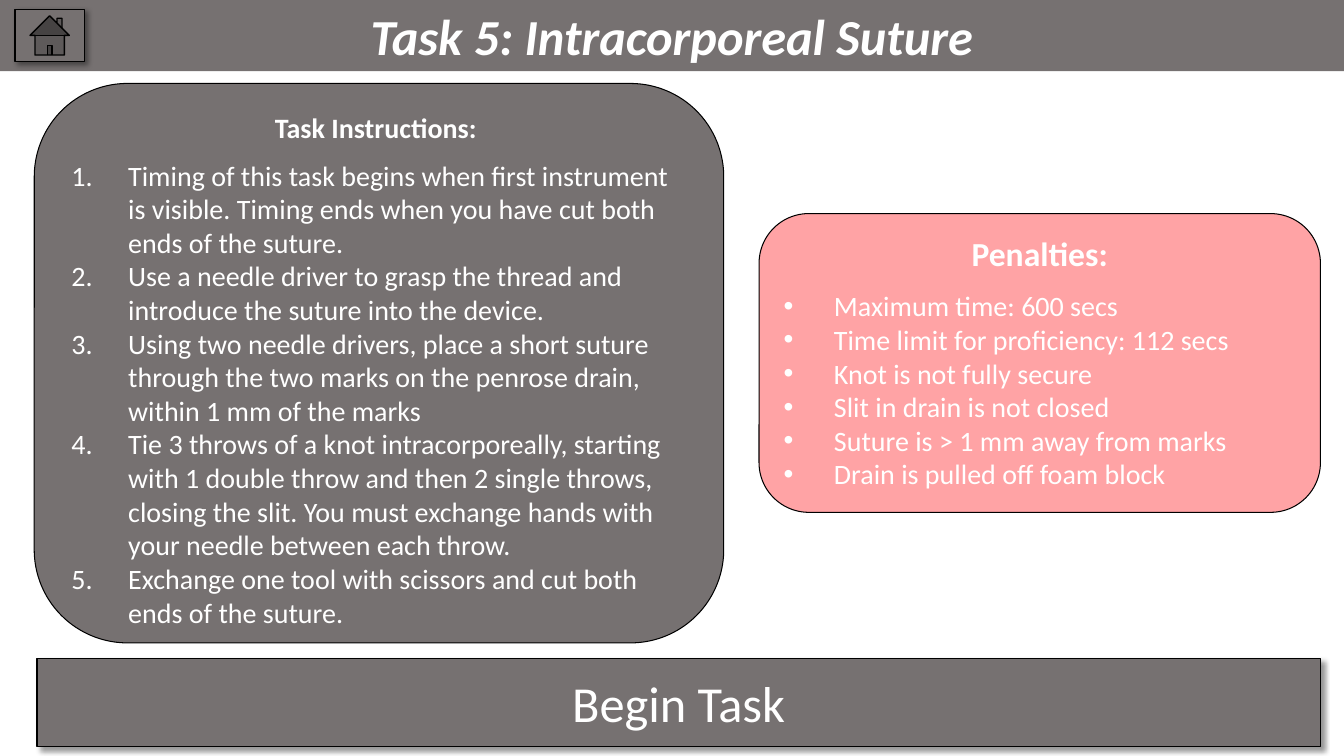
"""Build the Task 5 intracorporeal suture slide."""
from dataclasses import dataclass

import lxml.etree
import pptx
import pptx.dml.color
import pptx.enum.shapes
import pptx.enum.text
import pptx.oxml.ns
import pptx.util

Pt = pptx.util.Pt
qn = pptx.oxml.ns.qn
SHAPE = pptx.enum.shapes.MSO_SHAPE
ANCHOR = pptx.enum.text.MSO_ANCHOR
ALIGN = pptx.enum.text.PP_ALIGN

TITLE = "Task 5: Intracorporeal Suture"
BUTTON = "Begin Task"
INSTRUCTIONS = [
    "Timing of this task begins when first instrument is visible. "
    "Timing ends when you have cut both ends of the suture.",
    "Use a needle driver to grasp the thread and introduce the suture into the device.",
    "Using two needle drivers, place a short suture through the two marks "
    "on the penrose drain, within 1 mm of the marks",
    "Tie 3 throws of a knot intracorporeally, starting with 1 double throw and then "
    "2 single throws, closing the slit. You must exchange hands with your needle "
    "between each throw.",
    "Exchange one tool with scissors and cut both ends of the suture.",
]
PENALTIES = [
    "Maximum time: 600 secs",
    "Time limit for proficiency: 112 secs",
    "Knot is not fully secure",
    "Slit in drain is not closed",
    "Suture is > 1 mm away from marks",
    "Drain is pulled off foam block",
]
PANELS = [
    dict(box=(24.5, 59.6, 492.5, 399.6), fill="grey", alpha=None, inset=0,
         heading="Task Instructions: ", size="body", gap=9.75, items=INSTRUCTIONS,
         indent=40.5, bullet=("a:buAutoNum", {"type": "arabicPeriod"})),
    dict(box=(542.2, 152.6, 401, 213.4), fill="pink", alpha=70, inset=3.6,
         heading="Penalties:", size="heading", gap=11, items=PENALTIES,
         indent=36, bullet=("a:buChar", {"char": "•"})),
]
BUTTONS = [
    (SHAPE.ACTION_BUTTON_CUSTOM, (26.4, 470.2, 916.8, 62.8), BUTTON),
    (SHAPE.ACTION_BUTTON_HOME, (10.6, 6.6, 49.8, 37.4), ""),
]


@dataclass(frozen=True)
class Theme:
    """Colours, font and type sizes."""
    grey: str = "767171"
    pink: str = "FF7C80"
    line: str = "000000"
    text: str = "FFFFFF"
    font: str = "Calibri"
    title: int = 36
    heading: int = 24
    body: int = 20


THEME = Theme()


def rgb(name):
    """Return a theme colour."""
    return pptx.dml.color.RGBColor.from_string(getattr(THEME, name))


def add_xml(parent, tag, **attrs):
    """Append one element to a parent."""
    return lxml.etree.SubElement(parent, qn(tag), attrs)


def style(p, size, bold=False, italic=False, align=ALIGN.CENTER):
    """Format a paragraph and its runs."""
    p.alignment = align
    for r in p.runs:
        f = r.font
        f.name, f.size, f.bold, f.italic = THEME.font, Pt(getattr(THEME, size)), bold, italic
        f.color.rgb = rgb("text")


def add_box(s, kind, box, fill, width):
    """Add a filled and outlined shape."""
    sp = s.shapes.add_shape(kind, *map(Pt, box))
    sp.shadow.inherit = False
    sp.fill.solid()
    sp.fill.fore_color.rgb = rgb(fill)
    sp.line.color.rgb = rgb("line")
    sp.line.width = Pt(width)
    sp.text_frame.word_wrap = True
    return sp


def add_title(s, width):
    """Turn the title placeholder into the top band."""
    sp = s.shapes.title
    sp.left, sp.top, sp.width, sp.height = Pt(0), Pt(0), Pt(width), Pt(50.9)
    sp.fill.solid()
    sp.fill.fore_color.rgb = rgb("grey")
    tf = sp.text_frame
    tf.text = TITLE
    tf.auto_size = pptx.enum.text.MSO_AUTO_SIZE.NONE
    tf.vertical_anchor = ANCHOR.TOP
    style(tf.paragraphs[0], "title", bold=True, italic=True)


def add_panel(s, panel):
    """Add a rounded panel with a heading and a list."""
    sp = add_box(s, SHAPE.ROUNDED_RECTANGLE, panel["box"], panel["fill"], 0.75)
    if panel["alpha"]:
        color = sp.fill._xPr.find(qn("a:solidFill"))[0]
        add_xml(color, "a:alpha", val=str(panel["alpha"] * 1000))
    tf = sp.text_frame
    tf.vertical_anchor = ANCHOR.TOP
    tf.margin_top = tf.margin_bottom = Pt(panel["inset"])
    tf.text = panel["heading"]
    p = tf.paragraphs[0]
    p.space_after = Pt(panel["gap"])
    style(p, panel["size"], bold=True)
    tag, attrs = panel["bullet"]
    for item in panel["items"]:
        p = tf.add_paragraph()
        p.text = item
        pPr = p._p.get_or_add_pPr()
        pPr.set("marL", str(Pt(panel["indent"])))
        pPr.set("indent", str(-Pt(panel["indent"])))
        add_xml(pPr, "a:buFont", typeface="Arial" if tag == "a:buChar" else "+mj-lt")
        add_xml(pPr, tag, **attrs)
        style(p, "body", align=ALIGN.LEFT)


def add_button(s, kind, box, label):
    """Add an action button with a soft shadow."""
    sp = add_box(s, kind, box, "grey", 1)
    effects = sp._element.spPr.find(qn("a:effectLst"))
    shadow = add_xml(effects, "a:outerShdw", blurRad=str(Pt(4)), dist=str(Pt(3)),
                     dir=str(45 * 60000), algn="tl", rotWithShape="0")
    color = add_xml(shadow, "a:srgbClr", val=THEME.line)
    add_xml(color, "a:alpha", val="40000")
    if label:
        tf = sp.text_frame
        tf.text = label
        tf.vertical_anchor = ANCHOR.MIDDLE
        style(tf.paragraphs[0], "title")


def main():
    """Build and save the slide."""
    prs = pptx.Presentation()
    prs.slide_width, prs.slide_height = Pt(960), Pt(540)
    s = prs.slides.add_slide(prs.slide_layouts[5])
    add_title(s, 960)
    for panel in PANELS:
        add_panel(s, panel)
    for kind, box, label in BUTTONS:
        add_button(s, kind, box, label)
    prs.save("out.pptx")


if __name__ == "__main__":
    main()
